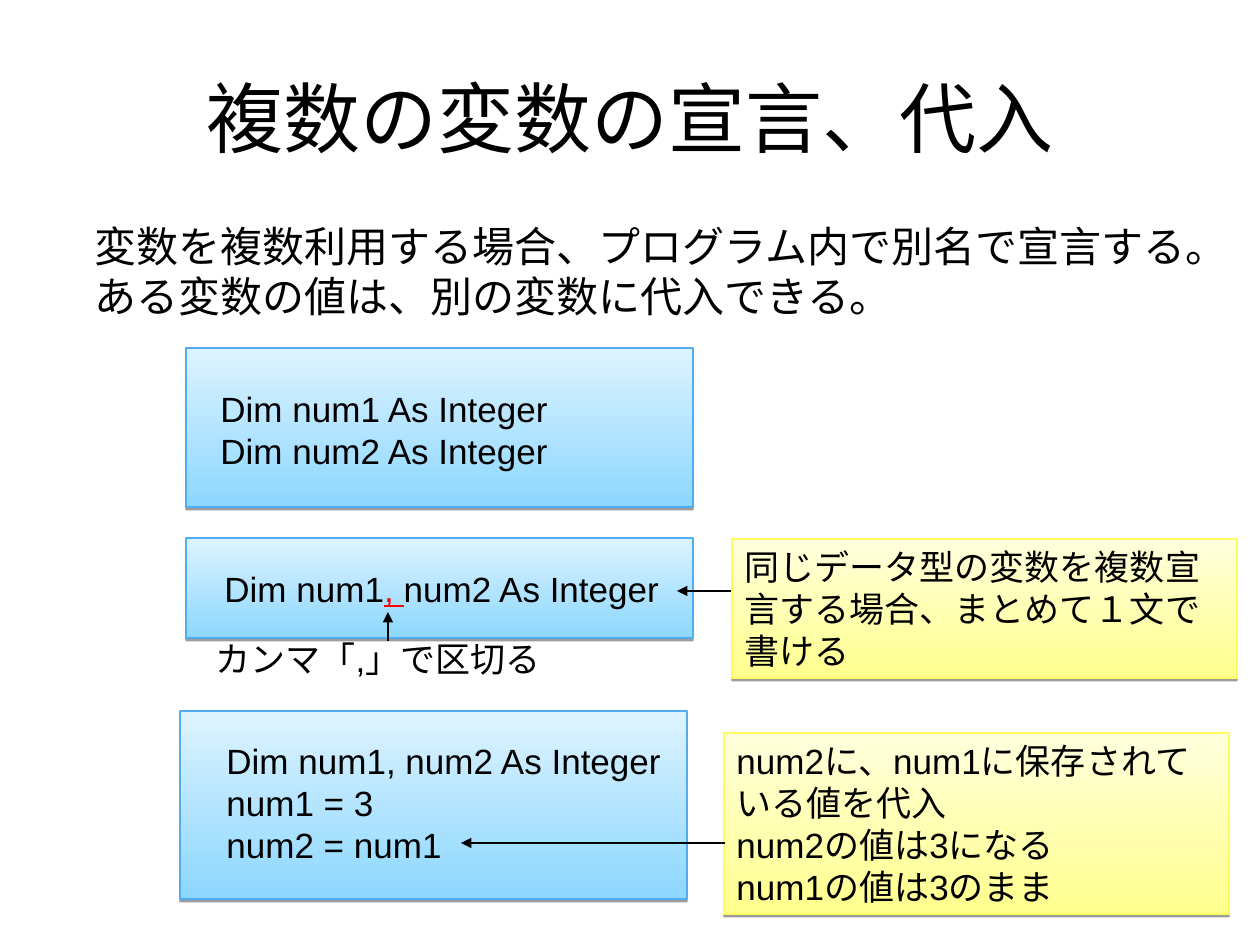
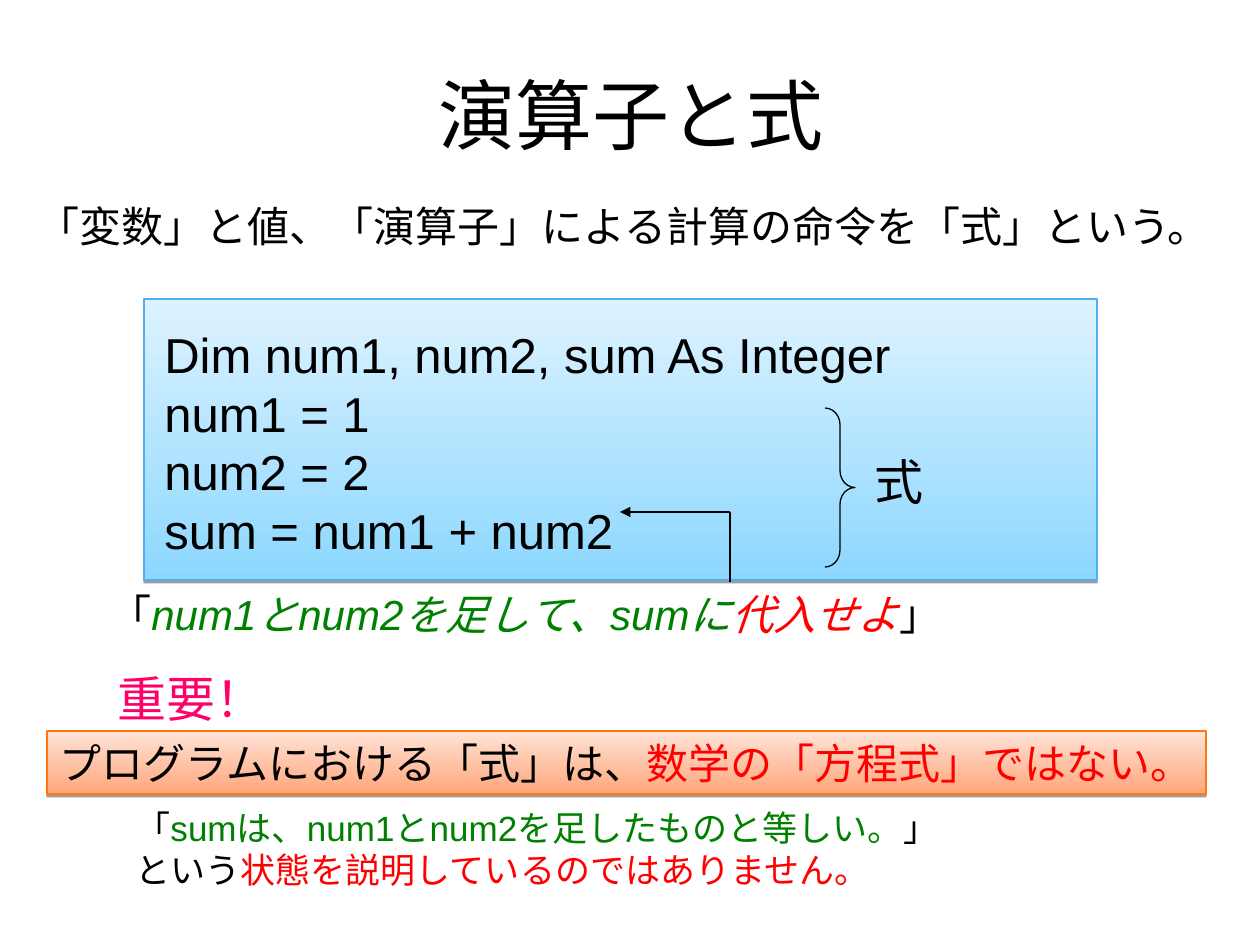
from dataclasses import dataclass

from lxml.etree import SubElement
from pptx import Presentation
from pptx.dml.color import RGBColor
from pptx.enum.shapes import MSO_CONNECTOR, MSO_SHAPE
from pptx.enum.text import MSO_ANCHOR, MSO_AUTO_SIZE, PP_ALIGN
from pptx.oxml.ns import qn
from pptx.util import Emu, Pt


@dataclass(frozen=True)
class Theme:
    font: str = "Arial"
    title: int = 44
    large: int = 28
    body: int = 24
    small: int = 20
    black: str = "000000"
    white: str = "FFFFFF"
    red: str = "FF0000"
    green: str = "008000"
    pink: str = "FF0066"
    code: tuple = ("8DD7FF", "DDF3FF", "52ACF2")
    note: tuple = ("FFFF8D", "FFFFDD", "FDFD5F")
    alert: tuple = ("FFA67A", "FFE4D8", "FF7715")
    line: float = 0.74


T = Theme()
SCALE = 914400 / 126


def px(*values):
    return [Emu(round(v * SCALE)) for v in values]


def rgb(color):
    return RGBColor.from_string(color)


def write(tf, lines, size, align=PP_ALIGN.LEFT):
    for i, line in enumerate(lines):
        p = tf.paragraphs[0] if i == 0 else tf.add_paragraph()
        p.alignment = align
        for part in [line] if isinstance(line, str) else line:
            text, color, style = (part, T.black, "") if isinstance(part, str) else part
            r = p.add_run()
            r.text = text
            r.font.name = T.font
            r.font.size = Pt(size)
            r.font.color.rgb = rgb(color)
            if style == "italic":
                r.font.italic = True
            if style == "underline":
                r.font.underline = True


def add_title(s, box, text):
    sp = s.shapes.title
    sp.left, sp.top, sp.width, sp.height = px(*box)
    sp.text_frame.vertical_anchor = MSO_ANCHOR.MIDDLE
    write(sp.text_frame, [text], T.title, PP_ALIGN.CENTER)


def add_text(s, box, lines, size, wrap=False):
    tf = s.shapes.add_textbox(*px(*box)).text_frame
    tf.word_wrap = wrap
    tf.auto_size = MSO_AUTO_SIZE.SHAPE_TO_FIT_TEXT
    write(tf, lines, size)


def add_shape(s, kind, box, color=T.black, width=T.line):
    sp = s.shapes.add_shape(kind, *px(*box))
    sp.shadow.inherit = False
    sp.fill.background()
    sp.line.color.rgb = rgb(color)
    sp.line.width = Pt(width)
    return sp


def fill_shape(sp, lines, size, wrap):
    tf = sp.text_frame
    tf.word_wrap = wrap
    tf.vertical_anchor = MSO_ANCHOR.TOP
    tf.auto_size = MSO_AUTO_SIZE.SHAPE_TO_FIT_TEXT
    write(tf, lines, size)


def add_panel(s, box, colors, lines=(), size=T.small, wrap=True):
    bottom, top, edge = colors
    sp = add_shape(s, MSO_SHAPE.RECTANGLE, box, edge)
    sp.fill.gradient()
    sp.fill.gradient_angle = 90
    for stop, color in zip(sp.fill.gradient_stops, (bottom, top)):
        stop.color.rgb = rgb(color)
    effects = sp._element.spPr.find(qn("a:effectLst"))
    shadow = SubElement(effects, qn("a:outerShdw"), blurRad="0", dist=str(Pt(1.6)),
                        dir="5400000", rotWithShape="0")
    shade = SubElement(shadow, qn("a:srgbClr"), val=T.black)
    SubElement(shade, qn("a:alpha"), val="38000")
    if lines:
        fill_shape(sp, lines, size, wrap)


def add_line(s, start, end, arrow=True):
    c = s.shapes.add_connector(MSO_CONNECTOR.STRAIGHT, *px(*start, *end))
    c.line.color.rgb = rgb(T.black)
    c.line.width = Pt(T.line)
    if arrow:
        SubElement(c.line._get_or_add_ln(), qn("a:tailEnd"), type="triangle")
    SubElement(c._element.spPr, qn("a:effectLst"))


def build_declaration(s):
    for box in ((180, 711, 507, 188), (186, 348, 507, 159), (186, 538, 507, 100)):
        add_panel(s, box, T.code)
    add_title(s, (63, 38, 1134, 158), "複数の変数の宣言、代入")
    add_text(s, (212, 561, 461, 55),
             [["Dim num1", (", ", T.red, "underline"), "num2 As Integer"]], T.small)
    add_text(s, (82, 214, 1159, 113),
             ["変数を複数利用する場合、プログラム内で別名で宣言する。",
              "ある変数の値は、別の変数に代入できる。"], T.body)
    add_text(s, (203, 631, 367, 55), ["カンマ「,」で区切る"], T.small)
    add_line(s, (388, 641), (388, 612))
    add_text(s, (208, 381, 354, 97),
             [f"Dim num{n} As Integer" for n in (1, 2)], T.small)
    add_line(s, (752, 591), (677, 591))
    add_panel(s, (732, 539, 505, 139), T.note,
              ["同じデータ型の変数を複数宣言する場合、まとめて１文で書ける"])
    add_text(s, (214, 733, 461, 139),
             ["Dim num1, num2 As Integer", "num1 = 3", "num2 = num1"], T.small)
    add_panel(s, (724, 733, 505, 181), T.note,
              ["num2に、num1に保存されている値を代入",
               "num2の値は3になる", "num1の値は3のまま"])
    add_line(s, (725, 843), (461, 843))


def build_expression(s):
    add_panel(s, (144, 299, 953, 281), T.code)
    intro = add_shape(s, MSO_SHAPE.RECTANGLE, (25, 194, 1201, 63), T.white, 2)
    intro.fill.solid()
    intro.fill.fore_color.rgb = rgb(T.white)
    fill_shape(intro, ["「変数」と値、「演算子」による計算の命令を「式」という。"], T.body, False)
    add_text(s, (152, 318, 753, 248),
             ["Dim num1, num2, sum As Integer", "num1 = 1", "num2 = 2",
              "sum = num1 + num2"], T.large)
    add_text(s, (97, 582, 921, 63),
             [["「", ("num1とnum2を足して、sumに", T.green, "italic"),
               ("代入せよ", T.red, "italic"), "」"]], T.body)
    add_panel(s, (47, 731, 1159, 63), T.alert,
              [["プログラムにおける「式」は、",
                ("数学の「方程式」ではない。", T.red, "")]], T.body, False)
    add_line(s, (730, 512), (620, 512))
    add_title(s, (64, 35, 1134, 158), "演算子と式")
    add_text(s, (105, 662, 171, 72), [[("重要！", T.pink, "")]], T.large)
    add_line(s, (730, 512), (730, 582), arrow=False)
    brace = add_shape(s, MSO_SHAPE.RIGHT_BRACE, (825, 408, 30, 159))
    brace.adjustments[0] = 0.56
    add_text(s, (862, 445, 74, 72), ["式"], T.large)
    add_text(s, (123, 800, 1062, 97),
             [["「", ("sumは、num1とnum2を足したものと等しい。", T.green, ""), "」"],
              ["という", ("状態を説明しているのではありません。", T.red, "")]],
             T.small, wrap=True)


def main():
    prs = Presentation()
    prs.slide_width, prs.slide_height = px(1260, 945)
    for build in (build_declaration, build_expression):
        build(prs.slides.add_slide(prs.slide_layouts[5]))
    prs.save("out.pptx")


main()
